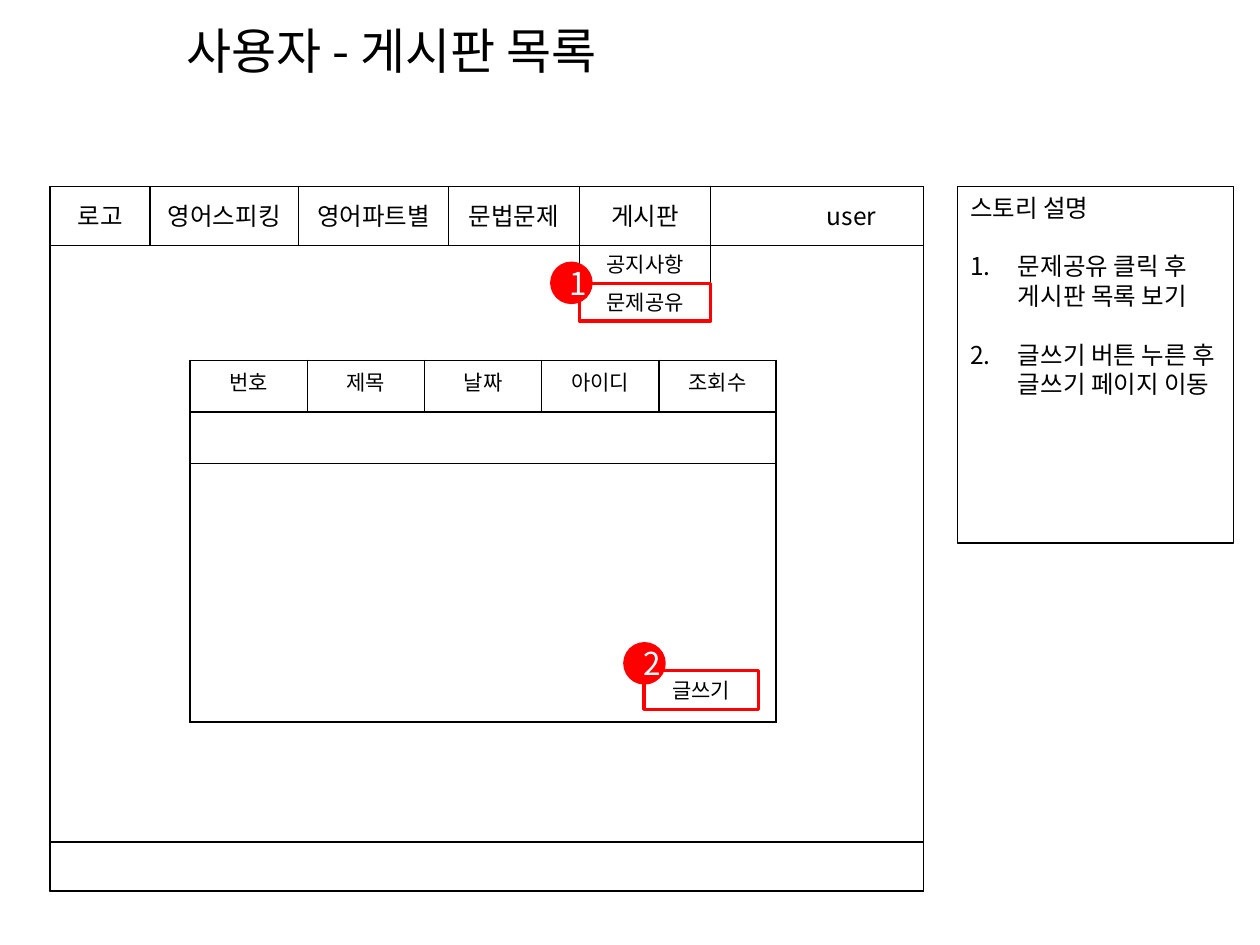
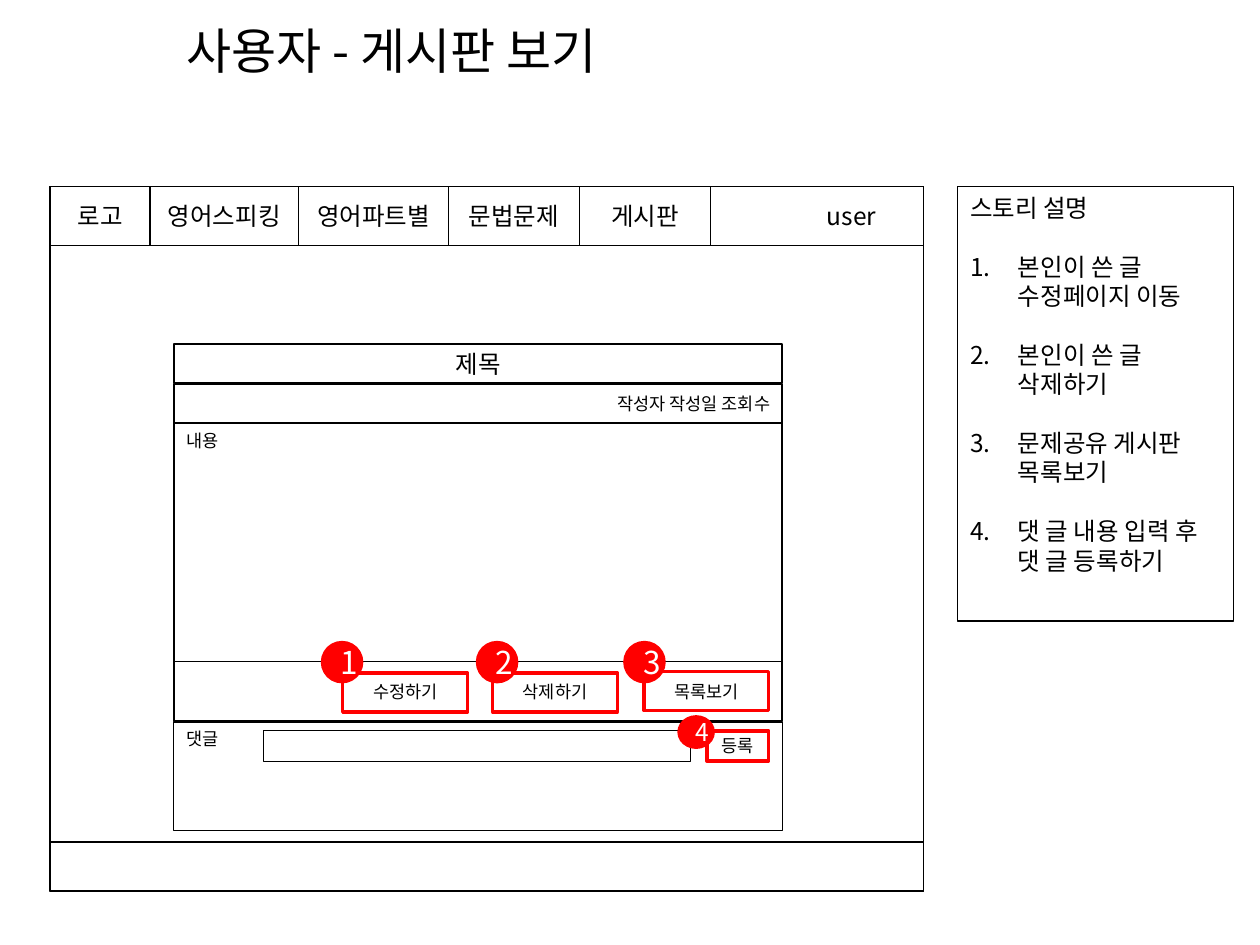
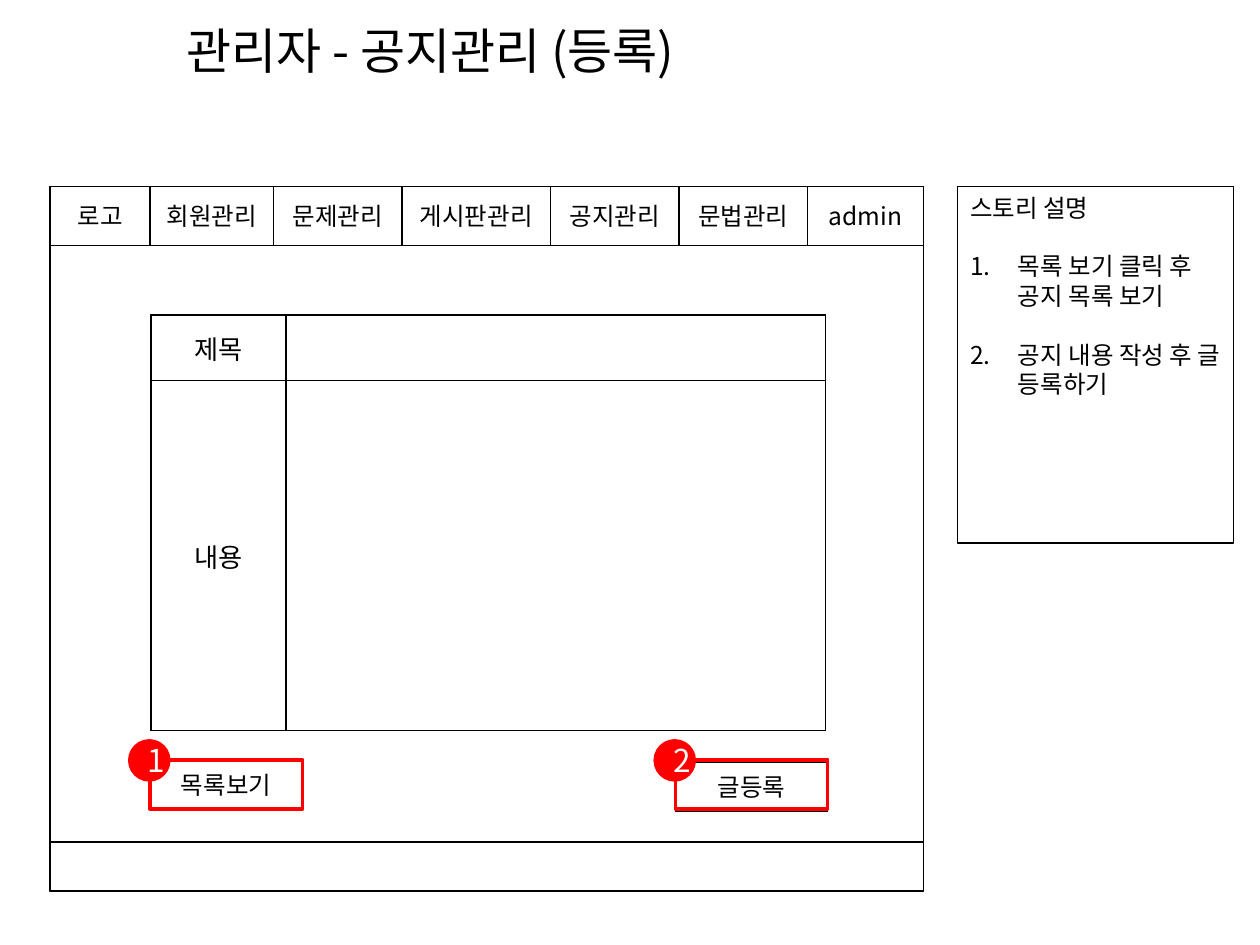
import pptx
import pptx.util
import pptx.dml.color
import pptx.enum.shapes
import pptx.enum.text
import pptx.oxml.ns
import pptx.text.text
from lxml import etree

FONT = "Noto Sans CJK KR"
BLACK, RED, WHITE = "000000", "FF0000", "FFFFFF"
PLAIN = "{2D5ABB26-0587-4C30-8999-92F81FD0307C}"
SHAPE = pptx.enum.shapes.MSO_SHAPE
ALIGN = pptx.enum.text.PP_ALIGN
ANCHOR = pptx.enum.text.MSO_ANCHOR
Inches, Pt = pptx.util.Inches, pptx.util.Pt


def color(code):
    """Turn a hex string into a colour."""
    return pptx.dml.color.RGBColor.from_string(code)


def node(parent, tag, **attrs):
    """Append a drawing element to its parent."""
    return etree.SubElement(parent, pptx.oxml.ns.qn("a:" + tag), **attrs)


def write(frame, text, size=14, ink=BLACK, align=ALIGN.CENTER, lead=None, list_from=None):
    """Fill a text frame, one paragraph per line, numbered from a given line."""
    frame.word_wrap = True
    for i, line in enumerate(text.split("\n")):
        para = frame.paragraphs[0] if i == 0 else frame.add_paragraph()
        para.alignment = align
        if lead:
            para.line_spacing = Pt(lead)
        if list_from is not None and i >= list_from:
            para.space_before = Pt(lead)
            props = para._p.get_or_add_pPr()
            props.set("marL", str(Inches(0.38)))
            props.set("indent", str(-Inches(0.38)))
            node(props, "buFont", typeface="+mj-lt")
            node(props, "buAutoNum", type="arabicPeriod")
        run = para.add_run()
        run.text = line
        font = run.font
        font.name, font.size, font.bold = FONT, Pt(size), False
        font.color.rgb = color(ink)
        node(run._r.get_or_add_rPr(), "ea", typeface=FONT)


class Board:
    """Hold the deck style and the current slide."""

    def __init__(self):
        """Start an empty deck."""
        self.deck = pptx.Presentation()
        self.deck.slide_width, self.deck.slide_height = Inches(10), Inches(7.5)

    def page(self, title, menu, user, user_at):
        """Add a slide with its title, page frame and menu."""
        self.slide = self.deck.slides.add_slide(self.deck.slide_layouts[5])
        head = self.slide.shapes.title
        head.left, head.top = Inches(1.38), Inches(0.11)
        head.width, head.height = Inches(8.43), Inches(0.57)
        head.text_frame.vertical_anchor = ANCHOR.TOP
        write(head.text_frame, title, size=28, align=ALIGN.LEFT, lead=33.6)
        for top, height in ((1.48, 5.59), (1.48, 0.47), (6.68, 0.39)):
            self.box((0.4, top, 6.93, height), width=1)
        left = 0.4
        for name, wide in menu:
            self.box((left, 1.48, wide, 0.47), name)
            left += wide
        self.label(user_at, user)

    def label(self, at, text):
        """Add a centred text box."""
        frame = self.slide.shapes.add_textbox(*map(Inches, at)).text_frame
        frame.vertical_anchor = ANCHOR.MIDDLE
        write(frame, text)

    def box(self, at, text="", width=0.75, line=BLACK, fill=None, kind=SHAPE.RECTANGLE,
            anchor=ANCHOR.MIDDLE, **style):
        """Add an outlined shape with optional fill and text."""
        shape = self.slide.shapes.add_shape(kind, *map(Inches, at))
        shape.shadow.inherit = False
        shape.line.color.rgb, shape.line.width = color(line), Pt(width)
        if fill:
            shape.fill.solid()
            shape.fill.fore_color.rgb = color(fill)
        else:
            shape.fill.background()
        if text:
            shape.text_frame.vertical_anchor = anchor
            write(shape.text_frame, text, **style)

    def note(self, height, *steps):
        """Add the story panel with numbered steps."""
        self.box((7.6, 1.48, 2.19, height), "\n".join(("스토리 설명",) + steps),
                 anchor=ANCHOR.TOP, align=ALIGN.LEFT, lead=16.8, list_from=1)

    def button(self, at, text, mark, ball, size=14, width=0.75, nudge=0, disc=(0.31, 0.31),
               digit=18):
        """Add a button with a red frame and a numbered ball."""
        left, top, wide, high = at
        self.box((left, top + nudge, wide, high), text, size=size, width=width)
        self.box(at, width=2, line=RED)
        self.box(ball + disc, mark, width=2, line=RED, fill=RED, kind=SHAPE.OVAL,
                 size=digit, ink=WHITE)

    def table(self, at, cols, rows, texts, size, anchor, edges):
        """Add a table; edges tells which sides of a cell are drawn."""
        grid = self.slide.shapes.add_table(len(rows), len(cols), *map(Inches, at)).table
        grid.first_row = grid.horz_banding = False
        grid._tbl.tblPr.find(pptx.oxml.ns.qn("a:tableStyleId")).text = PLAIN
        for col, wide in zip(grid.columns, cols):
            col.width = Inches(wide)
        for row, high in zip(grid.rows, rows):
            row.height = Inches(high)
        for r in range(len(rows)):
            for c in range(len(cols)):
                cell = grid.cell(r, c)
                cell.vertical_anchor = anchor
                props = cell._tc.get_or_add_tcPr()
                for side in edges(r, c):
                    edge = node(props, "ln" + side, w=str(Pt(1)))
                    node(node(edge, "solidFill"), "srgbClr", val=BLACK)
                cell.fill.background()
                if (r, c) in texts:
                    write(cell.text_frame, texts[r, c], size=size)
                else:
                    end = cell.text_frame.paragraphs[0]._p.get_or_add_endParaRPr()
                    font = pptx.text.text.Font(end)
                    font.name, font.size = FONT, Pt(18)


def rim(r, c):
    """Give all sides to the head row and only the outer ones to the body."""
    tests = (("L", c == 0), ("R", c == 4), ("T", r == 1), ("B", r == 6))
    return "LRTB" if r == 0 else [side for side, drawn in tests if drawn]


USER = (("로고", 0.79), ("영어스피킹", 1.18), ("영어파트별", 1.19), ("문법문제", 1.04), ("게시판", 1.04))
ADMIN = (("로고", 0.79), ("회원관리", 0.98), ("문제관리", 1.02), ("게시판관리", 1.18),
         ("공지관리", 1.02), ("문법관리", 1.02))
USER_AT, ADMIN_AT = (6.21, 1.48, 1.1, 0.47), (6.42, 1.48, 0.9, 0.47)

board = Board()

board.page("사용자 - 게시판 목록", USER, "user", USER_AT)
heads = ("번호", "제목", "날짜", "아이디", "조회수")
board.table((1.51, 2.86, 4.65, 2.84), [0.93] * 5, [0.41] * 7,
            {(0, c): head for c, head in enumerate(heads)}, 12, ANCHOR.TOP, rim)
board.note(2.83, "문제공유 클릭 후 게시판 목록 보기", "글쓰기 버튼 누른 후 글쓰기 페이지 이동")
board.box((4.6, 1.95, 1.04, 0.3), "공지사항", size=12)
board.button((4.6, 2.25, 1.04, 0.3), "문제공유", "1", (4.38, 2.09), size=12)
board.button((5.11, 5.32, 0.91, 0.31), "글쓰기", "2", (4.96, 5.11), size=12)

board.page("사용자 - 게시판 보기", USER, "user", USER_AT)
board.note(3.45, "본인이 쓴 글 수정페이지 이동", "본인이 쓴 글 삭제하기",
           "문제공유 게시판 목록보기", "댓 글 내용 입력 후 댓 글 등록하기")
board.box((1.38, 2.73, 4.83, 0.31), "제목", width=1)
board.box((1.38, 3.05, 4.83, 0.31), "작성자 작성일 조회수", width=1, size=10, align=ALIGN.RIGHT)
board.box((1.38, 3.36, 4.83, 2.36), "내용", width=1, size=10, align=ALIGN.LEFT,
          anchor=ANCHOR.TOP)
board.box((1.38, 5.25, 4.83, 0.47), width=0.5)
for left, top, text, mark, ball in ((5.11, 5.33, "목록보기", "3", 4.96),
                                    (3.91, 5.34, "삭제하기", "2", 3.79),
                                    (2.72, 5.34, "수정하기", "1", 2.56)):
    board.button((left, top, 0.99, 0.31), text, mark, (ball, 5.1), size=10, width=1,
                 nudge=5.33 - top)
board.box((1.38, 5.73, 4.83, 0.86), "댓글", size=10, align=ALIGN.LEFT, anchor=ANCHOR.TOP)
board.box((2.09, 5.8, 3.39, 0.24), width=0.5)
board.button((5.61, 5.8, 0.49, 0.24), "등록", "4", (5.39, 5.69), size=10,
             disc=(0.27, 0.24), digit=14)

board.page("관리자 - 공지관리 (등록)", ADMIN, "admin", ADMIN_AT)
board.table((1.2, 2.5, 5.35, 3.29), (1.07, 4.28), (0.52, 2.78),
            {(0, 0): "제목", (1, 0): "내용"}, 15, ANCHOR.MIDDLE, lambda r, c: "LRTB")
board.note(2.83, "목록 보기 클릭 후 공지 목록 보기", "공지 내용 작성 후 글 등록하기")
board.button((1.19, 6.03, 1.21, 0.39), "목록보기", "1", (1.03, 5.88))
board.button((5.36, 6.03, 1.21, 0.39), "글등록", "2", (5.2, 5.88), nudge=0.02)

board.deck.save("out.pptx")
